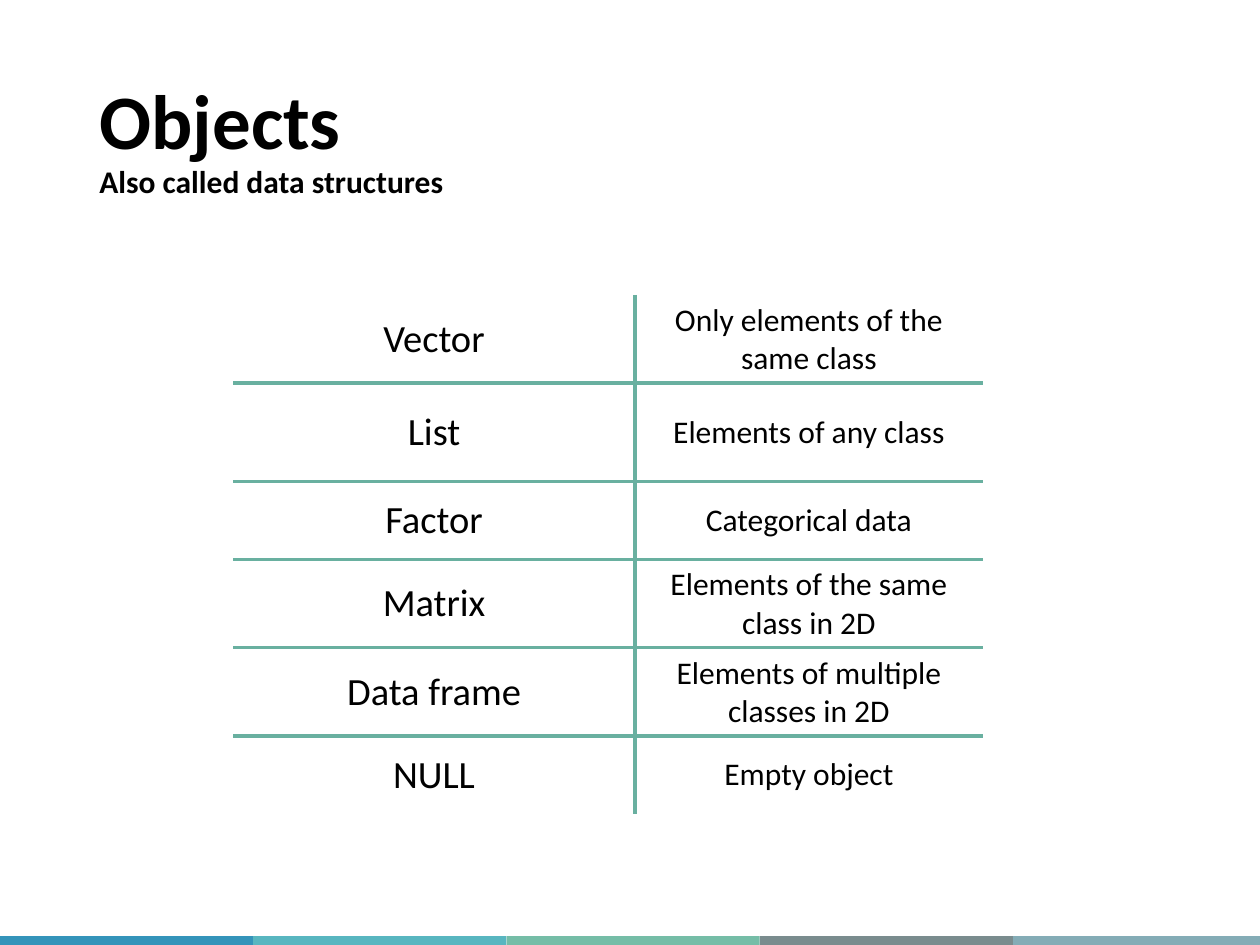
from lxml.etree import SubElement
from pptx import Presentation
from pptx.dml.color import RGBColor
from pptx.enum.shapes import MSO_SHAPE
from pptx.enum.text import MSO_ANCHOR, PP_ALIGN
from pptx.oxml.ns import qn
from pptx.util import Inches, Pt

BLACK = RGBColor(0x00, 0x00, 0x00)
WHITE = RGBColor(0xFF, 0xFF, 0xFF)
GREEN = RGBColor(0x69, 0xB0, 0xA0)
BAR_COLORS = [
    RGBColor(0x34, 0x94, 0xBA),
    RGBColor(0x58, 0xB6, 0xC0),
    RGBColor(0x75, 0xBD, 0xA7),
    RGBColor(0x7A, 0x8C, 0x8E),
    RGBColor(0x84, 0xAC, 0xB6),
]
BAR_WIDTH, BAR_TOP, BAR_HEIGHT = 2.01, 7.43, 0.1
COL_WIDTHS = [3.19, 2.76]
COL_SIZES = [22, 18]
ROW_HEIGHTS = [0.62, 0.78, 0.62, 0.62, 0.62, 0.62]
OBJECTS = [
    ("Vector", "Only elements of the same class"),
    ("List", "Elements of any class"),
    ("Factor", "Categorical data"),
    ("Matrix", "Elements of the same class in 2D"),
    ("Data frame", "Elements of multiple classes in 2D"),
    ("NULL", "Empty object"),
]


def add_text(p, text, size=18, bold=False, color=BLACK, font="Calibri"):
    r = p.add_run()
    r.text = text
    r.font.name = font
    r.font.size = Pt(size)
    r.font.bold = bold
    r.font.color.rgb = color


def add_title(s, title, subtitle):
    tf = s.shapes.add_textbox(Inches(0.69), Inches(0.4), Inches(8.62), Inches(1.45)).text_frame
    tf.word_wrap = True
    tf.vertical_anchor = MSO_ANCHOR.MIDDLE
    p = tf.paragraphs[0]
    p.line_spacing = 0.9
    add_text(p, title, size=44, bold=True)
    p.add_line_break()
    add_text(p, subtitle, bold=True)


def add_color_bar(s):
    for i, color in enumerate(BAR_COLORS):
        sp = s.shapes.add_shape(
            MSO_SHAPE.RECTANGLE, Inches(i * BAR_WIDTH), Inches(BAR_TOP),
            Inches(BAR_WIDTH), Inches(BAR_HEIGHT))
        sp.shadow.inherit = False
        sp.fill.solid()
        sp.fill.fore_color.rgb = color
        sp.line.fill.background()


def set_borders(cell, visible):
    pr = cell._tc.get_or_add_tcPr()
    for side in "LRTB":
        ln = SubElement(pr, qn(f"a:ln{side}"), w=str(Pt(2.25)))
        if side in visible:
            fill = SubElement(ln, qn("a:solidFill"))
            SubElement(fill, qn("a:srgbClr"), val=str(GREEN))
        else:
            SubElement(ln, qn("a:noFill"))


def fill_cell(cell, text, size, borders):
    set_borders(cell, borders)
    cell.fill.solid()
    cell.fill.fore_color.rgb = WHITE
    cell.vertical_anchor = MSO_ANCHOR.MIDDLE
    p = cell.text_frame.paragraphs[0]
    p.alignment = PP_ALIGN.CENTER
    add_text(p, text, size=size)


def add_object_table(s):
    table = s.shapes.add_table(
        len(OBJECTS), len(COL_WIDTHS), Inches(1.85), Inches(2.34),
        Inches(sum(COL_WIDTHS)), Inches(sum(ROW_HEIGHTS))).table
    table.first_row = table.horz_banding = False
    for col, width in zip(table.columns, COL_WIDTHS):
        col.width = Inches(width)
    for i, (row, height) in enumerate(zip(table.rows, ROW_HEIGHTS)):
        row.height = Inches(height)
        rules = ("T" if i > 0 else "") + ("B" if i < len(OBJECTS) - 1 else "")
        for cell, text, size, inner in zip(row.cells, OBJECTS[i], COL_SIZES, "RL"):
            fill_cell(cell, text, size, rules + inner)


def main():
    prs = Presentation()
    prs.slide_width, prs.slide_height = Inches(10), Inches(7.5)
    s = prs.slides.add_slide(prs.slide_layouts[6])
    add_color_bar(s)
    add_title(s, "Objects", "Also called data structures")
    add_object_table(s)
    prs.save("out.pptx")


if __name__ == "__main__":
    main()
